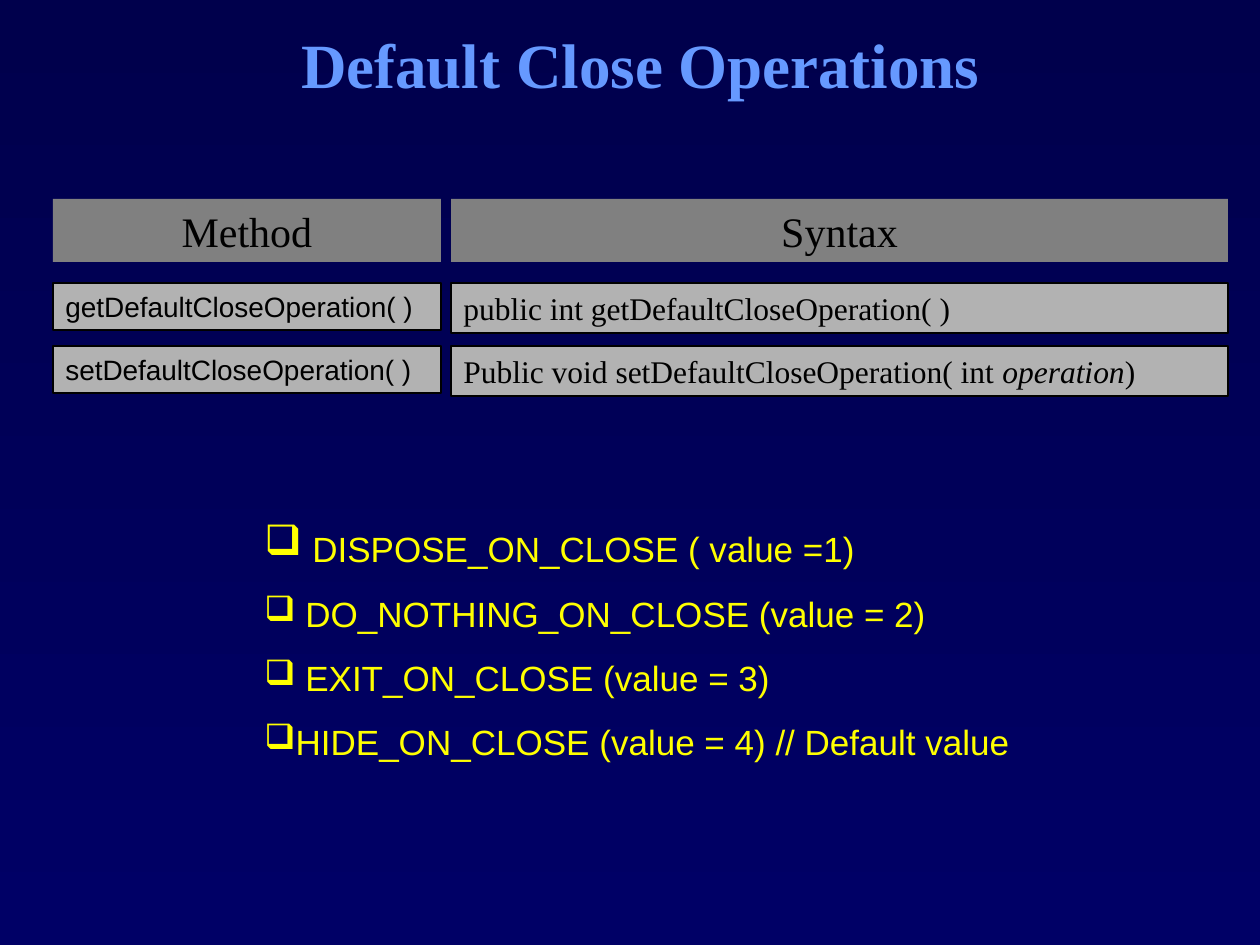
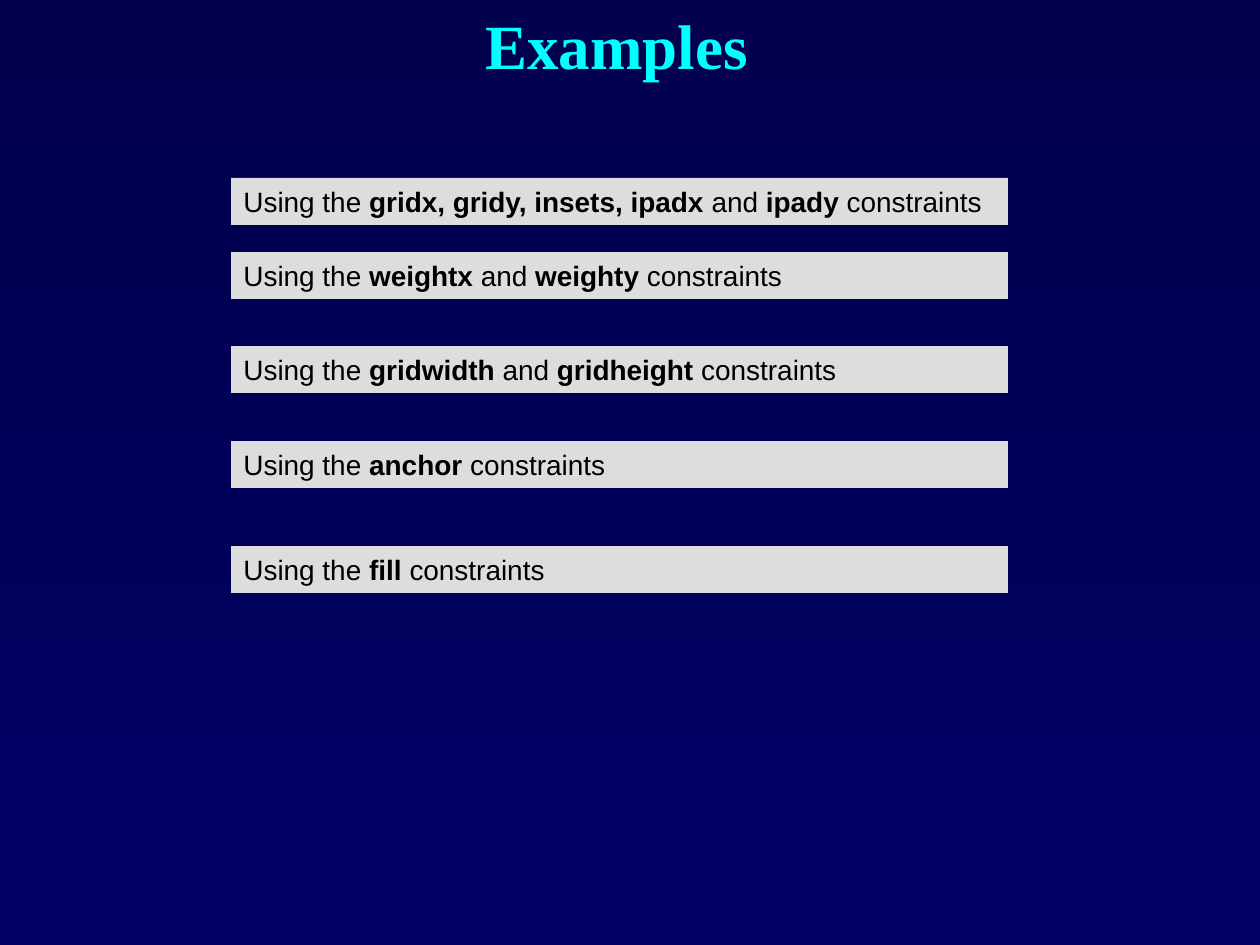
import dataclasses

import lxml.etree
import pptx
import pptx.dml.color
import pptx.enum.shapes
import pptx.enum.text
import pptx.oxml.ns
import pptx.util

ALIGN = pptx.enum.text.PP_ALIGN
ANCHOR = pptx.enum.text.MSO_ANCHOR
EMU_PER_PX = 914400 / 126


@dataclasses.dataclass(frozen=True)
class Theme:
    serif: str = "Times New Roman"
    sans: str = "Arial"
    sky_top: str = "00004C"
    sky_bottom: str = "000066"
    blue: str = "6699FF"
    cyan: str = "00FFFF"
    yellow: str = "FFFF00"
    ink: str = "000000"
    header_fill: str = "808080"
    cell_fill: str = "B2B2B2"
    strip_fill: str = "DDDDDD"
    title_size: int = 36
    header_size: int = 24
    bullet_size: int = 20
    syntax_size: int = 18
    label_size: int = 16
    cell_line: float = 0.75
    bullet_gap: float = 12.5


THEME = Theme()


# Shared helpers
def px(length):
    return pptx.util.Emu(round(length * EMU_PER_PX))


def rgb(code):
    return pptx.dml.color.RGBColor.from_string(code)


def add_span(para, text, font, size, color, bold=False, italic=False):
    span = para.add_run()
    span.text = text
    span.font.name = font
    span.font.size = pptx.util.Pt(size)
    span.font.color.rgb = rgb(color)
    span.font.bold = bold
    span.font.italic = italic


def prepare_frame(shape, anchor=ANCHOR.TOP):
    frame = shape.text_frame
    frame.word_wrap = True
    frame.vertical_anchor = anchor
    return frame


def add_page(deck):
    page = deck.slides.add_slide(deck.slide_layouts[6])
    fill = page.background.fill
    fill.gradient()
    fill.gradient_angle = 270
    for stop, color in zip(fill.gradient_stops, (THEME.sky_top, THEME.sky_bottom)):
        stop.color.rgb = rgb(color)
    return page


def add_title(page, box, text, color, anchor=ANCHOR.TOP):
    shape = page.shapes.add_textbox(*map(px, box))
    para = prepare_frame(shape, anchor).paragraphs[0]
    para.alignment = ALIGN.CENTER
    add_span(para, text, THEME.serif, THEME.title_size, color, bold=True)


def add_panel(page, box, pieces, fill, font, size, align=ALIGN.LEFT,
              outlined=False, emphasis="bold"):
    """A filled rectangle; every second piece of its text is emphasised."""
    panel = page.shapes.add_shape(
        pptx.enum.shapes.MSO_SHAPE.RECTANGLE, *map(px, box))
    panel.shadow.inherit = False
    panel.fill.solid()
    panel.fill.fore_color.rgb = rgb(fill)
    if outlined:
        panel.line.color.rgb = rgb(THEME.ink)
        panel.line.width = pptx.util.Pt(THEME.cell_line)
    else:
        panel.line.fill.background()
    para = prepare_frame(panel).paragraphs[0]
    para.alignment = align
    for index, piece in enumerate(pieces):
        add_span(para, piece, font, size, THEME.ink, **{emphasis: index % 2 == 1})


def add_bullet(para, symbol, color):
    properties = para._p.get_or_add_pPr()
    properties.set("marL", "0")
    properties.set("indent", "0")
    qn = pptx.oxml.ns.qn
    bullet_color = lxml.etree.SubElement(properties, qn("a:buClr"))
    lxml.etree.SubElement(bullet_color, qn("a:srgbClr"), val=color)
    lxml.etree.SubElement(properties, qn("a:buChar"), char=symbol)


# Regions
def add_method_grid(page, box, rows):
    left, top, width, _ = box
    method_width, gutter = 388, 10
    syntax_left = left + method_width + gutter
    syntax_width = width - method_width - gutter
    for x, w, label in ((left, method_width, "Method"),
                        (syntax_left, syntax_width, "Syntax")):
        add_panel(page, (x, top, w, 63), [label], THEME.header_fill,
                  THEME.serif, THEME.header_size, align=ALIGN.CENTER)
    for index, (method, syntax) in enumerate(rows):
        y = top + 84 + 63 * index
        add_panel(page, (left, y, method_width, 47), [method], THEME.cell_fill,
                  THEME.sans, THEME.label_size, outlined=True)
        add_panel(page, (syntax_left, y, syntax_width, 50), syntax, THEME.cell_fill,
                  THEME.serif, THEME.syntax_size, outlined=True, emphasis="italic")


def add_constants(page, box, constants):
    frame = prepare_frame(page.shapes.add_textbox(*map(px, box)))
    for index, text in enumerate(constants):
        para = frame.add_paragraph() if index else frame.paragraphs[0]
        if index:
            para.space_before = pptx.util.Pt(THEME.bullet_gap)
        add_bullet(para, "❑", THEME.yellow)
        if index == 0:
            # The larger leading space also enlarges the first bullet
            add_span(para, " ", THEME.serif, THEME.header_size, THEME.cyan)
        add_span(para, text, THEME.sans, THEME.bullet_size, THEME.yellow)


def add_strips(page, box, strips):
    left, top, width, height = box
    for offset, pieces in strips:
        add_panel(page, (left, top + offset, width, height), pieces,
                  THEME.strip_fill, THEME.sans, THEME.label_size)


# Slides
def build_close_operations(deck):
    page = add_page(deck)
    add_title(page, (105, 21, 1071, 84), "Default Close Operations",
              THEME.blue, ANCHOR.MIDDLE)
    add_method_grid(page, (53, 199, 1175, 198), [
        ("getDefaultCloseOperation( )", ["public int getDefaultCloseOperation( )"]),
        ("setDefaultCloseOperation( )",
         ["Public void setDefaultCloseOperation( int ", "operation", ")"]),
    ])
    add_constants(page, (252, 514, 882, 254), [
        "DISPOSE_ON_CLOSE ( value =1)",
        " DO_NOTHING_ON_CLOSE (value = 2)",
        " EXIT_ON_CLOSE (value = 3)",
        "HIDE_ON_CLOSE (value = 4) // Default value",
    ])


def build_examples(deck):
    page = add_page(deck)
    add_title(page, (168, 0, 913, 88), "Examples ", THEME.cyan)
    start, end = "Using the ", "constraints"
    add_strips(page, (231, 178, 777, 47), [
        (0, [start, "gridx, gridy, insets, ipadx ", "and", " ipady ", end]),
        (74, [start, "weightx ", "and", " weighty ", end]),
        (168, [start, "gridwidth ", "and", " gridheight ", end]),
        (263, [start, "anchor ", end]),
        (368, [start, "fill ", end]),
    ])


def main():
    deck = pptx.Presentation()
    deck.slide_width, deck.slide_height = px(1260), px(945)
    build_close_operations(deck)
    build_examples(deck)
    deck.save("out.pptx")


if __name__ == "__main__":
    main()
